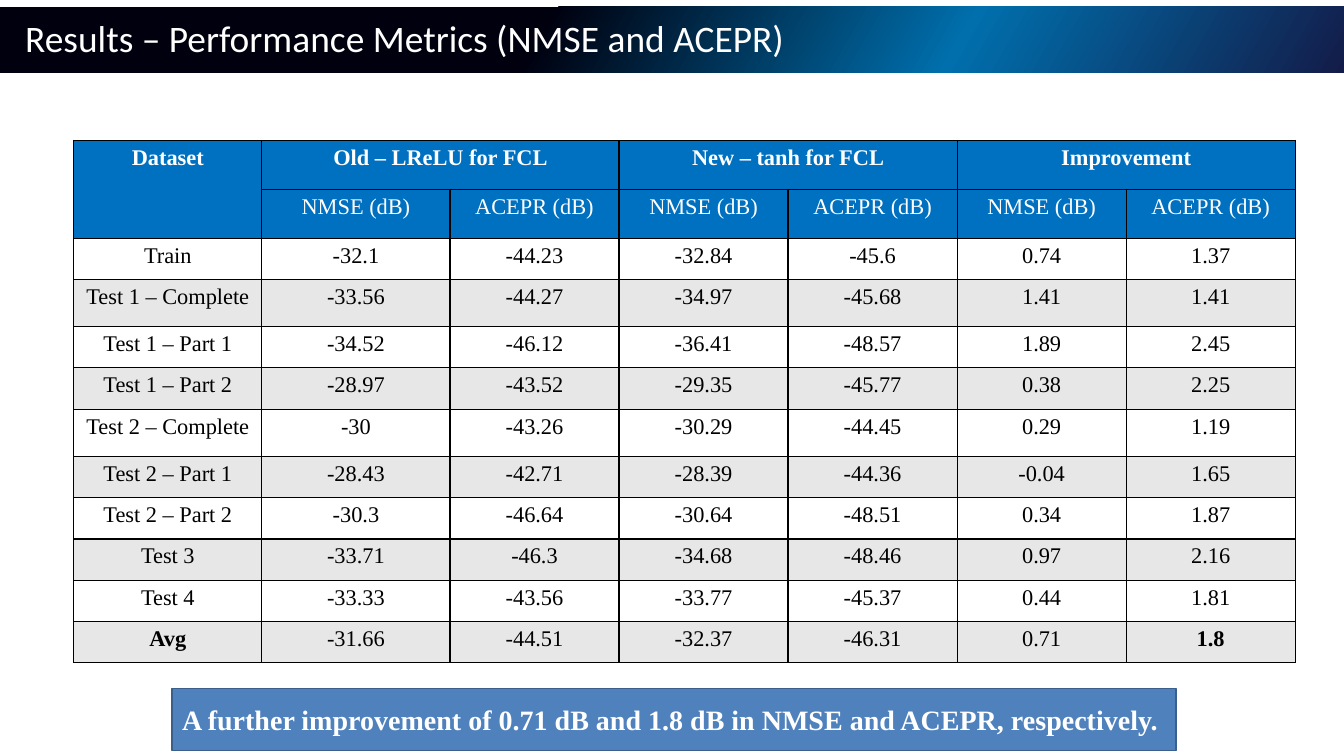
from copy import deepcopy
from pptx import Presentation
from pptx.dml.color import RGBColor
from pptx.enum.shapes import MSO_SHAPE
from pptx.enum.text import MSO_ANCHOR, MSO_AUTO_SIZE, PP_ALIGN
from pptx.oxml import parse_xml
from pptx.oxml.ns import nsdecls
from pptx.util import Cm, Pt

HUES = {
    "white": "FFFFFF", "black": "000000", "night": "00000E", "ocean": "006FAC",
    "navy": "131C49", "head": "0070C0", "stripe": "E7E7E7",
    "note": "4F81BD", "edge": "3A5F8C",
}
SERIF = "Times New Roman"


def hue(name):
    return RGBColor.from_string(HUES[name])


def write(frame, text, size, face, color, bold=False, align=PP_ALIGN.LEFT):
    para = frame.paragraphs[0]
    para.alignment = align
    run = para.add_run()
    run.text = text
    run.font.size = Pt(size)
    run.font.name = face
    run.font.bold = bold
    run.font.color.rgb = hue(color)
    return para


deck = Presentation()
deck.slide_width, deck.slide_height = Cm(33.87), Cm(19.05)
slide = deck.slides.add_slide(deck.slide_layouts[5])
shapes = slide.shapes

band = shapes.add_shape(MSO_SHAPE.RECTANGLE, Cm(0), Cm(0.17), Cm(33.87), Cm(1.66))
band.shadow.inherit = False
band.line.fill.background()
band.fill.gradient()
band.fill.gradient_angle = 330
last = band._element.xpath(".//a:gs")[-1]
last.addnext(deepcopy(last))
marks = [(0.4, "night"), (0.71, "ocean"), (1, "navy")]
for stop, (place, name) in zip(band.fill.gradient_stops, marks):
    stop.position = place
    stop.color.rgb = hue(name)
shapes._spTree.insert(2, band._element)

title = shapes.title
title.left, title.top, title.width, title.height = Cm(0.38), Cm(0.3), Cm(30.33), Cm(1.42)
title.text_frame.auto_size = MSO_AUTO_SIZE.NONE
title.text_frame.word_wrap = True
title.text_frame.vertical_anchor = MSO_ANCHOR.MIDDLE
para = write(title.text_frame, "Results – Performance Metrics (NMSE and ACEPR)", 26.7, "Calibri", "white")
para.line_spacing = 0.9

rows = [
    ["Dataset", "Old – LReLU for FCL", "", "New – tanh for FCL", "", "Improvement", ""],
    [""] + ["NMSE (dB)", "ACEPR (dB)"] * 3,
    ["Train", "-32.1", "-44.23", "-32.84", "-45.6", "0.74", "1.37"],
    ["Test 1 – Complete", "-33.56", "-44.27", "-34.97", "-45.68", "1.41", "1.41"],
    ["Test 1 – Part 1", "-34.52", "-46.12", "-36.41", "-48.57", "1.89", "2.45"],
    ["Test 1 – Part 2", "-28.97", "-43.52", "-29.35", "-45.77", "0.38", "2.25"],
    ["Test 2 – Complete", "-30", "-43.26", "-30.29", "-44.45", "0.29", "1.19"],
    ["Test 2 – Part 1", "-28.43", "-42.71", "-28.39", "-44.36", "-0.04", "1.65"],
    ["Test 2 – Part 2", "-30.3", "-46.64", "-30.64", "-48.51", "0.34", "1.87"],
    ["Test 3", "-33.71", "-46.3", "-34.68", "-48.46", "0.97", "2.16"],
    ["Test 4", "-33.33", "-43.56", "-33.77", "-45.37", "0.44", "1.81"],
    ["Avg", "-31.66", "-44.51", "-32.37", "-46.31", "0.71", "1.8"],
]
frame = shapes.add_table(len(rows), 7, Cm(1.86), Cm(3.54), Cm(30.78), Cm(13.16))
table = frame.table
table.first_row = False
table.horz_banding = False
for c, col in enumerate(table.columns):
    col.width = Cm(4.74 if c < 2 else 4.26)

for r, texts in enumerate(rows):
    top = r < 2
    tall = 1.19 if texts[0].endswith("Complete") else 1.04
    table.rows[r].height = Cm(1.23 if top else tall)
    fill = "head" if top else ("stripe" if r % 2 else "white")
    for c, text in enumerate(texts):
        cell = table.cell(r, c)
        props = cell._tc.get_or_add_tcPr()
        for side in ("lnL", "lnR", "lnT", "lnB"):
            props.append(parse_xml(
                f'<a:{side} {nsdecls("a")} w="12700"><a:solidFill>'
                f'<a:srgbClr val="{HUES["black"]}"/></a:solidFill></a:{side}>'))
        cell.fill.solid()
        cell.fill.fore_color.rgb = hue(fill)
        if text:
            bold = r == 0 or text in ("Avg", "1.8")
            write(cell.text_frame, text, 16, SERIF, "white" if top else "black", bold, PP_ALIGN.CENTER)

table.cell(0, 0).merge(table.cell(1, 0))
for c in (1, 3, 5):
    table.cell(0, c).merge(table.cell(0, c + 1))

note = shapes.add_shape(MSO_SHAPE.RECTANGLE, Cm(4.34), Cm(17.35), Cm(25.3), Cm(1.57))
note.shadow.inherit = False
note.fill.solid()
note.fill.fore_color.rgb = hue("note")
note.line.color.rgb = hue("edge")
note.line.width = Pt(1)
note.text_frame.word_wrap = True
note.text_frame.vertical_anchor = MSO_ANCHOR.MIDDLE
write(note.text_frame, "A further improvement of 0.71 dB and 1.8 dB in NMSE and ACEPR, respectively.", 20, SERIF, "white", True)

deck.save("out.pptx")
